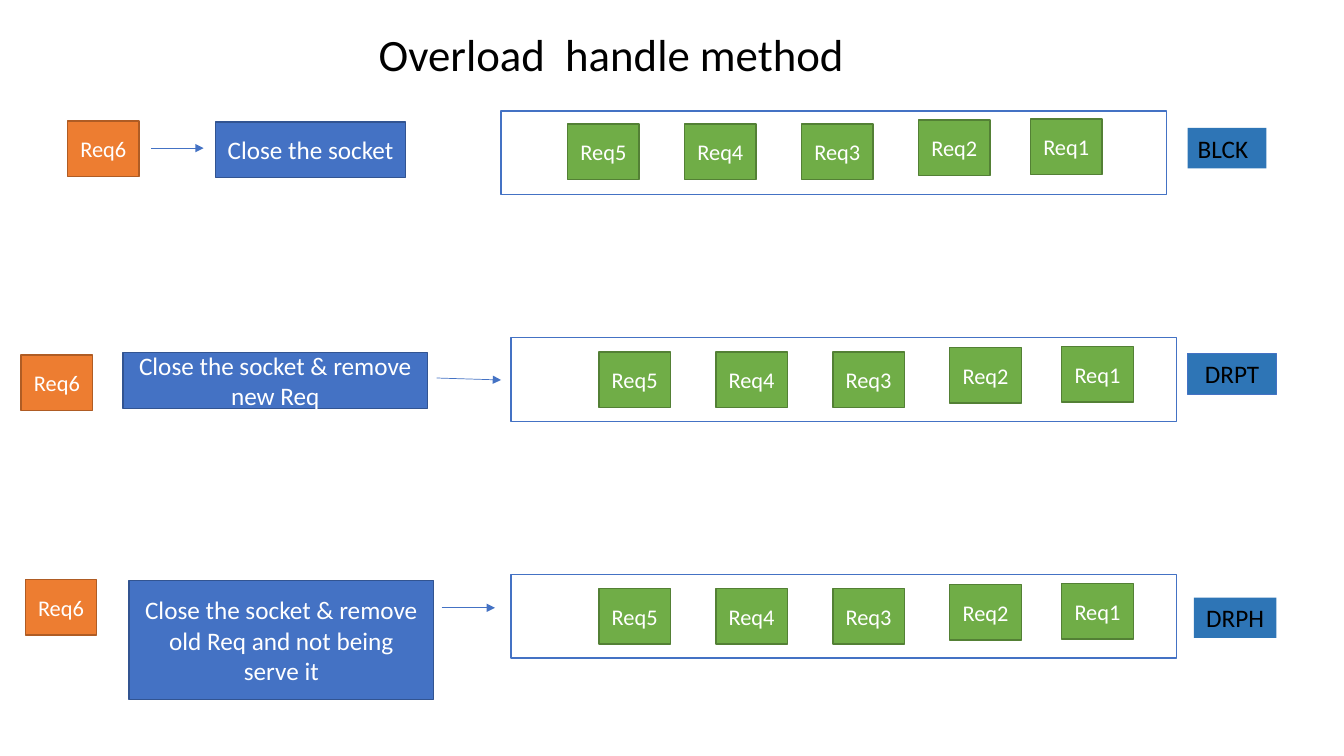
from lxml import etree
from pptx import Presentation
from pptx import util as u
from pptx.dml.color import RGBColor
from pptx.enum import shapes, text
from pptx.oxml.ns import qn

COLORS = {
    "white": "FFFFFF", "black": "000000", "blue": "4472C4", "navy": "325491",
    "green": "70AD47", "dark_green": "538035", "orange": "ED7D31",
    "rust": "AF5C24", "tag": "2E75B6",
}
CENTER, LEFT = text.PP_ALIGN.CENTER, text.PP_ALIGN.LEFT

deck = Presentation()
deck.slide_width, deck.slide_height = u.Inches(13.33), u.Inches(7.5)
page = deck.slides.add_slide(deck.slide_layouts[6])

# Grid of 13.33 columns by 7.5 rows
col = deck.slide_width / 13.33
row = deck.slide_height / 7.5


def write(box, words, size, color, align=CENTER, anchor=text.MSO_ANCHOR.MIDDLE):
    frame = box.text_frame
    frame.word_wrap = True
    frame.vertical_anchor = anchor
    para = frame.paragraphs[0]
    para.alignment = align
    span = para.add_run()
    span.text = words
    span.font.name, span.font.size = "Calibri", u.Pt(size)
    span.font.color.rgb = RGBColor.from_string(COLORS[color])


def add_box(left, top, width, height, fill, line=None, weight=1):
    box = page.shapes.add_shape(
        shapes.MSO_SHAPE.RECTANGLE, int(left * col), int(top * row),
        int(width * col), int(height * row))
    box.shadow.inherit = False
    box.fill.solid()
    box.fill.fore_color.rgb = RGBColor.from_string(COLORS[fill])
    if line:
        box.line.color.rgb = RGBColor.from_string(COLORS[line])
        box.line.width = u.Pt(weight)
    else:
        box.line.fill.background()
    return box


# Title
title = page.shapes.add_textbox(
    int(3.28 * col), int(0.22 * row), int(5.57 * col), int(0.64 * row))
write(title, "Overload  handle method", 32, "black", anchor=text.MSO_ANCHOR.TOP)

# One entry per overload method
REQ_WIDTH, REQ_HEIGHT, REQ_PITCH = 0.71, 0.55, 1.16
METHODS = [
    {"queue": (4.97, 1.1), "first": (5.63, 1.23), "new": (0.67, 1.2),
     "arrow": (1.5, 1.47, 2.02, 1.47),
     "action": (2.14, 1.21, 1.88, 0.55), "words": "Close the socket",
     "tag": (11.78, 1.27, 0.78, 0.4), "name": "BLCK", "align": LEFT, "edge": None},
    {"queue": (5.07, 3.35), "first": (5.94, 3.49), "new": (0.21, 3.52),
     "arrow": (4.33, 3.75, 4.97, 3.77),
     "action": (1.22, 3.5, 3.02, 0.55), "words": "Close the socket & remove new Req",
     "tag": (11.78, 3.51, 0.88, 0.4), "name": "DRPT", "align": CENTER, "edge": "blue"},
    {"queue": (5.07, 5.7), "first": (5.94, 5.84), "new": (0.25, 5.75),
     "arrow": (4.38, 6.03, 4.91, 6.03),
     "action": (1.28, 5.76, 3.02, 1.18),
     "words": "Close the socket & remove old Req and not being serve it",
     "tag": (11.84, 5.93, 0.82, 0.4), "name": "DRPH", "align": CENTER, "edge": None},
]
# Small shifts (right, up) of the two requests at the head of the queue
SHIFTS = {2: (0, 0.04), 1: (-0.05, 0.05)}

for method in METHODS:
    # Queue with its waiting requests
    add_box(*method["queue"], 6.6, 0.83, "white", "blue")
    left, top = method["first"]
    for number in range(5, 0, -1):
        right, up = SHIFTS.get(number, (0, 0))
        request = add_box(left + (5 - number) * REQ_PITCH + right, top - up,
                          REQ_WIDTH, REQ_HEIGHT, "green", "dark_green")
        write(request, f"Req{number}", 16, "white")

    # New request and the action taken
    new_request = add_box(*method["new"], REQ_WIDTH, REQ_HEIGHT, "orange", "rust")
    write(new_request, "Req6", 16, "white")
    action = add_box(*method["action"], "blue", "navy")
    write(action, method["words"], 18, "white")

    # Arrow
    x1, y1, x2, y2 = method["arrow"]
    arrow = page.shapes.add_connector(
        shapes.MSO_CONNECTOR.STRAIGHT, int(x1 * col), int(y1 * row),
        int(x2 * col), int(y2 * row))
    arrow.line.color.rgb = RGBColor.from_string(COLORS["blue"])
    arrow.line.width = u.Pt(0.5)
    etree.SubElement(arrow.line._get_or_add_ln(), qn("a:tailEnd"), type="triangle")
    etree.SubElement(arrow._element.spPr, qn("a:effectLst"))

    # Method name
    tag = add_box(*method["tag"], "tag", method["edge"], 0.75)
    write(tag, method["name"], 18, "black", method["align"], text.MSO_ANCHOR.TOP)

deck.save("out.pptx")
